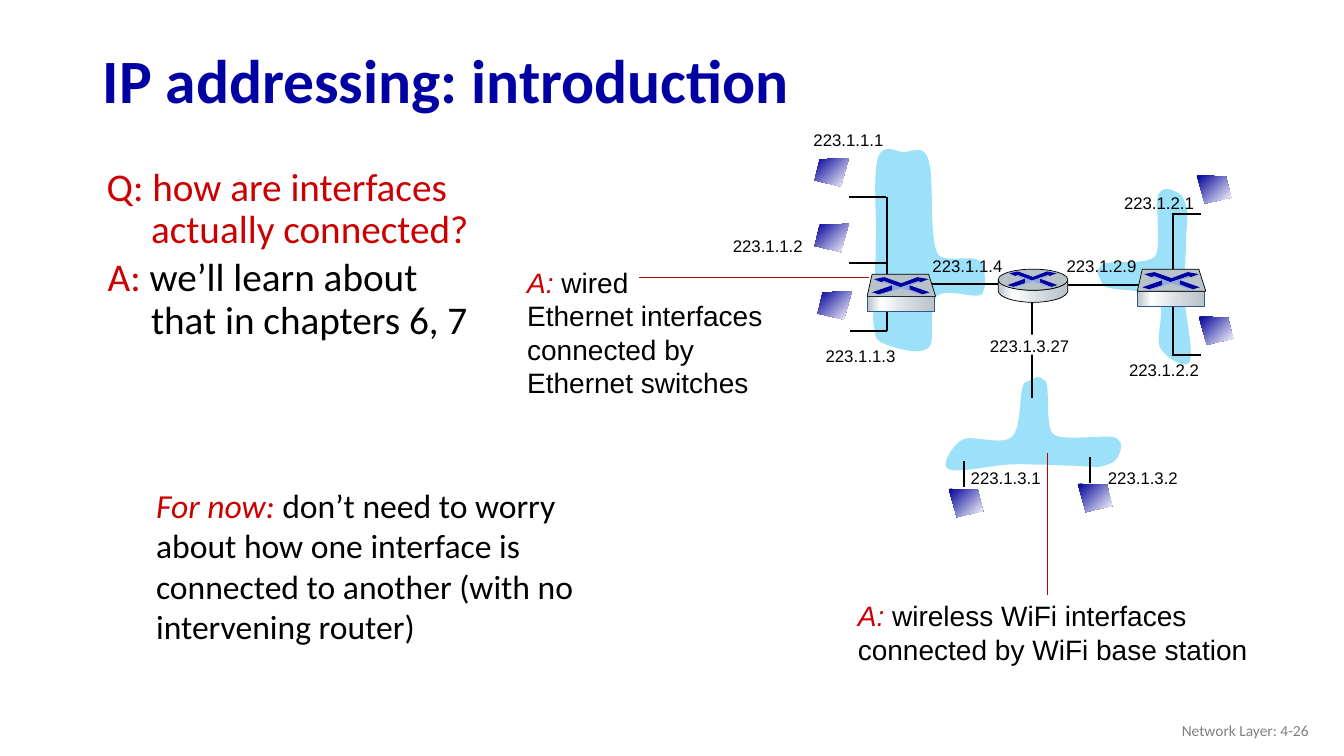
from lxml import etree
from pptx import Presentation
from pptx import util as u
from pptx.dml.color import RGBColor
from pptx.enum import shapes, text
from pptx.oxml import ns

HUE = {"navy": "0000A3", "red": "CC0000", "wire": "C00000", "black": "000000",
       "white": "FFFFFF", "gray": "808080", "sky": "9CE0FA", "steel": "B8C2C9",
       "rim": "325491", "pale": "8FAADC"}
METAL = ([(0, "B8C2C9"), (21, "FFFFFF"), (60, "D6DCE0"), (100, "B8C2C9")], 0)
SCREEN = ([(0, "000099"), (100, "FFFFFF")], 45)


class Page:
    """Style and slide; lengths are columns and rows of a grid of 0.1 inch cells."""
    cell = u.Inches(0.1)

    def __init__(self, deck):
        self.slide = deck.slides.add_slide(deck.slide_layouts[6])
        self.items = self.slide.shapes

    def emu(self, *cells):
        return [u.Emu(round(c * self.cell)) for c in cells]

    def rgb(self, name):
        return RGBColor.from_string(HUE[name])

    def dress(self, item, fill, line=None, width=0.5):
        item.shadow.inherit = False
        if isinstance(fill, str):
            item.fill.solid()
            item.fill.fore_color.rgb = self.rgb(fill)
        else:
            stops, angle = fill
            item.fill.gradient()
            item.fill.gradient_angle = (360 - angle) % 360
            band = item._element.spPr.find(".//" + ns.qn("a:gsLst"))
            for old in list(band):
                band.remove(old)
            for pos, hue in stops:
                stop = etree.SubElement(band, ns.qn("a:gs"), pos=str(pos * 1000))
                etree.SubElement(stop, ns.qn("a:srgbClr"), val=hue)
        if line:
            item.line.color.rgb = self.rgb(line)
            item.line.width = u.Pt(width)
        else:
            item.line.fill.background()

    def shape(self, kind, box, fill, line=None):
        self.dress(self.items.add_shape(kind, *self.emu(*box)), fill, line)

    def poly(self, points, fill, line=None):
        spots = [self.emu(*p) for p in points]
        pen = self.items.build_freeform(*spots[0], scale=1.0)
        pen.add_line_segments(spots[1:], close=True)
        self.dress(pen.convert_to_shape(), fill, line)

    def curve(self, knots, fill, line=None, steps=12):
        """Closed outline of cubic curves: a start, then three points a curve."""
        points = [knots[0]]
        for i in range(0, len(knots) - 1, 3):
            quad = knots[i:i + 4]
            for k in range(1, steps + 1):
                t = k / steps
                share = ((1 - t)**3, 3 * t * (1 - t)**2, 3 * t * t * (1 - t), t**3)
                points.append([sum(s * q[axis] for s, q in zip(share, quad))
                               for axis in (0, 1)])
        self.poly(points, fill, line)

    def line(self, x1, y1, x2, y2, hue="black", width=1.5):
        link = self.items.add_connector(shapes.MSO_CONNECTOR.STRAIGHT,
                                        *self.emu(x1, y1, x2, y2))
        link.line.color.rgb = self.rgb(hue)
        link.line.width = u.Pt(width)
        etree.SubElement(link._element.spPr, ns.qn("a:effectLst"))

    def text(self, box, paras, size, face="Arial", hue="black", bold=None, wrap=True,
             mid=False, right=False, space=None, hang=0):
        """A paragraph is a string, or a pair of lead word and rest."""
        frame = self.items.add_textbox(*self.emu(*box)).text_frame
        frame.word_wrap = wrap
        if mid:
            frame.vertical_anchor = text.MSO_ANCHOR.MIDDLE
        for i, words in enumerate(paras):
            para = frame.paragraphs[0] if i == 0 else frame.add_paragraph()
            if space:
                para.line_spacing = space
            if right:
                para.alignment = text.PP_ALIGN.RIGHT
            if hang:
                pad = self.emu(hang)[0]
                props = para._p.get_or_add_pPr()
                props.set("marL", str(pad))
                props.set("indent", str(-pad))
            para.font.size, para.font.name, para.font.bold = u.Pt(size), face, bold
            if isinstance(words, str):
                para.add_run().text = words
                para.font.color.rgb = self.rgb(hue)
            else:
                for part, tint in zip(words, ("red", hue)):
                    run = para.add_run()
                    run.text = part
                    run.font.color.rgb = self.rgb(tint)
                    run.font.italic = tint == "red" and not hang

    def label(self, x, y, tail, wide=9):
        self.text((x, y, wide, 3), ["223.1." + tail], 12, wrap=False)

    def host(self, x, y, flip):
        edge = [(0, 0), (2.9, 0.1), (3.4, 2.2), (0.8, 2.8)]
        self.poly([(x + (3.4 - a if flip else a), y + b) for a, b in edge], SCREEN)

    def cross(self, x, y, sx=1, sy=1):
        for edge, hue in CROSS:
            self.poly([(x + a * sx, y + b * sy) for a, b in edge], hue)

    def switch(self, x, y):
        self.shape(shapes.MSO_SHAPE.RECTANGLE, (x - 3.4, y + 1.05, 6.7, 1.5), METAL, "rim")
        top = [(-3.4, 1.05), (-2.9, -1.15), (2.7, -1.15), (3.4, 1.05)]
        self.poly([(x + a, y + b) for a, b in top], "steel", "black")
        self.cross(x, y)


# Arrow pattern on top of switches and router, around its centre
CROSS = [
    ([(1.6, -.85), (2.7, -.65), (1.9, -.35), (1.7, -.45), (-.1, .15), (-1.7, -.45),
      (-2, -.35), (-2.7, -.65), (-1.7, -.85), (0, -.25)], "navy"),
    ([(.8, -.05), (2.8, .65), (2.1, .85), (.8, .35)], "navy"),
    ([(-.9, -.05), (-.9, .45), (-2.2, .85), (-2.9, .65)], "navy"),
    ([(-2, -.35), (-1.7, -.45), (-.1, .15), (1.7, -.45), (1.9, -.35), (.8, -.05),
      (.8, .45), (2.1, .85), (1.8, .85), (0, .25), (-1.9, .85), (-2.2, .85),
      (-.9, .45), (-.9, -.05)], "pale")]
# Subnet cloud around its centre, used upright and turned
CLOUD = [
    (-.9, -4), (-1.5, -3.1), (-1.1, .3), (-2.1, 1.3), (-3.1, 2.3), (-5.9, 1.1),
    (-7, 1.6), (-8, 2.1), (-9.2, 4.1), (-8.5, 4.5), (-7.8, 5), (-4.2, 4.2),
    (-2.7, 4.1), (-1.2, 4), (-.4, 4.1), (.7, 4.1), (1.8, 4.1), (2.8, 4.2),
    (3.8, 4.2), (4.7, 4.2), (5.9, 4.4), (6.6, 4.3), (7.4, 4.1), (8.1, 3.9),
    (8.3, 3.4), (8.6, 2.9), (9.1, 1.9), (8.1, 1.4), (7, 1.1), (2.9, 1.8),
    (2, 1.1), (1.1, .3), (1.7, -3.5), (1.2, -4.2), (.4, -4.7), (.7, -4.8), (-.9, -4)]
WEST = [
    (97.6, 26.6), (97.4, 24.7), (93.9, 26.4), (93, 25.2), (92.1, 23.4), (92.7, 17.6),
    (92.1, 15.9), (91.6, 14.2), (90.4, 15.1), (89.6, 15.1), (88.8, 15), (87.6, 14.2),
    (87.1, 15.6), (86.6, 16.9), (86.9, 21.3), (86.9, 23.1), (86.8, 24.9), (86.9, 25.4),
    (86.8, 26.5), (86.8, 27.6), (86.7, 28.6), (86.7, 29.6), (86.7, 30.6), (86.5, 31.7),
    (86.7, 32.4), (86.8, 33.2), (86.8, 33.8), (87.7, 34.1), (88.6, 34.5), (91.2, 35.3),
    (92.1, 34.5), (92.9, 33.8), (92, 30.3), (92.9, 29.4), (93.8, 28.5), (96.6, 29.7),
    (97.4, 29.2), (97.7, 28.4), (97.8, 28.5), (97.6, 26.6)]
DRUM = [
    (105.9, 27.8), (105.9, 27.8), (105.9, 28.9), (105.9, 28.9), (105.7, 29.7),
    (103.7, 30), (102.5, 30), (101.3, 30), (99.2, 29.7), (99, 28.9), (99, 28.7),
    (99, 28.1), (99, 27.8), (99.3, 28.5), (101.3, 28.8), (102.5, 28.8), (103.6, 28.8),
    (105.6, 28.6), (105.9, 27.8)]


def main():
    deck = Presentation()
    deck.slide_width, deck.slide_height = u.Inches(13.33), u.Inches(7.5)
    page = Page(deck)
    rect = shapes.MSO_SHAPE.RECTANGLE

    # Title
    page.text((9.2, 3.4, 115, 9.8), ["IP addressing: introduction"], 44, "Calibri",
              "navy", bold=True, mid=True, space=0.9)

    # Subnet clouds
    page.curve([(102.5 + a, 42 + b) for a, b in CLOUD], "sky")
    page.curve([(113.45 + b, 27.45 - a) for a, b in CLOUD], "sky")
    page.curve(WEST, "sky")

    # Interface addresses
    page.line(102.4, 29.9, 102.4, 39.5)
    page.shape(rect, (72.7, 23.7, 9.1, 2), "white")
    page.shape(rect, (97.8, 33.2, 9.3, 2), "white")
    for x, y, tail in [(79.7, 12.4, "1.1"), (71.7, 22.9, "1.2"), (80.9, 33.8, "1.3"),
                       (91.5, 24.9, "1.4"), (104.8, 24.9, "2.9"), (111, 35.2, "2.2"),
                       (110.5, 18.6, "2.1"), (108.9, 45.9, "3.2"), (95.3, 45.9, "3.1")]:
        page.label(x, y, tail)
    page.label(97.2, 32.8, "3.27", 10)

    # Hosts and their links
    for x, y, flip in [(80.8, 15.7, True), (80.8, 22.2, True), (81.1, 28.9, True),
                       (118.7, 17.4, False), (118.9, 31.4, False),
                       (106.9, 48, False), (94.1, 48.5, False)]:
        page.host(x, y, flip)
    for x, y, wide in [(84.2, 19.5, 3.7), (84.2, 26.1, 3.7), (84.3, 32.8, 3.7),
                       (116.2, 21.2, 2.9), (116.3, 35.2, 2.8)]:
        page.line(x, y, x + wide, y)
    for x, y in [(95.6, 45.7), (108.1, 45.3)]:
        page.line(x, y, x, y + 2.6)

    # Question, answers and remark
    page.text((9.6, 16.1, 38.2, 18.4), ["Q: how are interfaces actually connected?"],
              28, "Calibri", "red", space=0.9, hang=4.4)
    page.text((51.3, 25.8, 27.9, 14.5),
              [("A: ", "wired"), "Ethernet interfaces connected by Ethernet switches"], 20)
    page.line(86.2, 27.5, 63.4, 27.5, "wire", 0.75)
    page.text((84.1, 58.9, 45.6, 7.7),
              [("A: ", "wireless WiFi interfaces connected by WiFi base station")], 20)
    page.line(103.9, 59, 103.9, 44.9, "wire", 1)
    page.text((14.5, 47.6, 47.3, 17.2),
              [("For now: ", "don’t need to worry about how one interface is connected "
                "to another (with no intervening router)")], 24, "Calibri")
    page.text((9.7, 25.1, 38.2, 11.7), [("A: ", "we’ll learn about that in chapters 6, 7")],
              28, "Calibri", space=0.9, hang=4.3)

    # Router between the switches
    page.line(91.5, 28.2, 100.2, 28.2)
    page.line(104.4, 28.3, 115.1, 28.3)
    page.curve(DRUM, METAL, "black")
    page.shape(shapes.MSO_SHAPE.OVAL, (99, 26.7, 6.9, 2.1), "steel", "black")
    page.cross(102.45, 27.7, 0.87, 0.9)

    # Switches on their trunk lines
    page.line(88, 19.5, 88, 32.8)
    page.switch(89.4, 28.35)
    page.line(116.3, 21.1, 116.3, 35.3)
    page.switch(116.2, 27.85)

    # Footer
    page.text((100.8, 70.5, 30, 4), ["Network Layer: 4-26"], 11, "Calibri", "gray",
              mid=True, right=True)
    deck.save("out.pptx")


if __name__ == "__main__":
    main()
